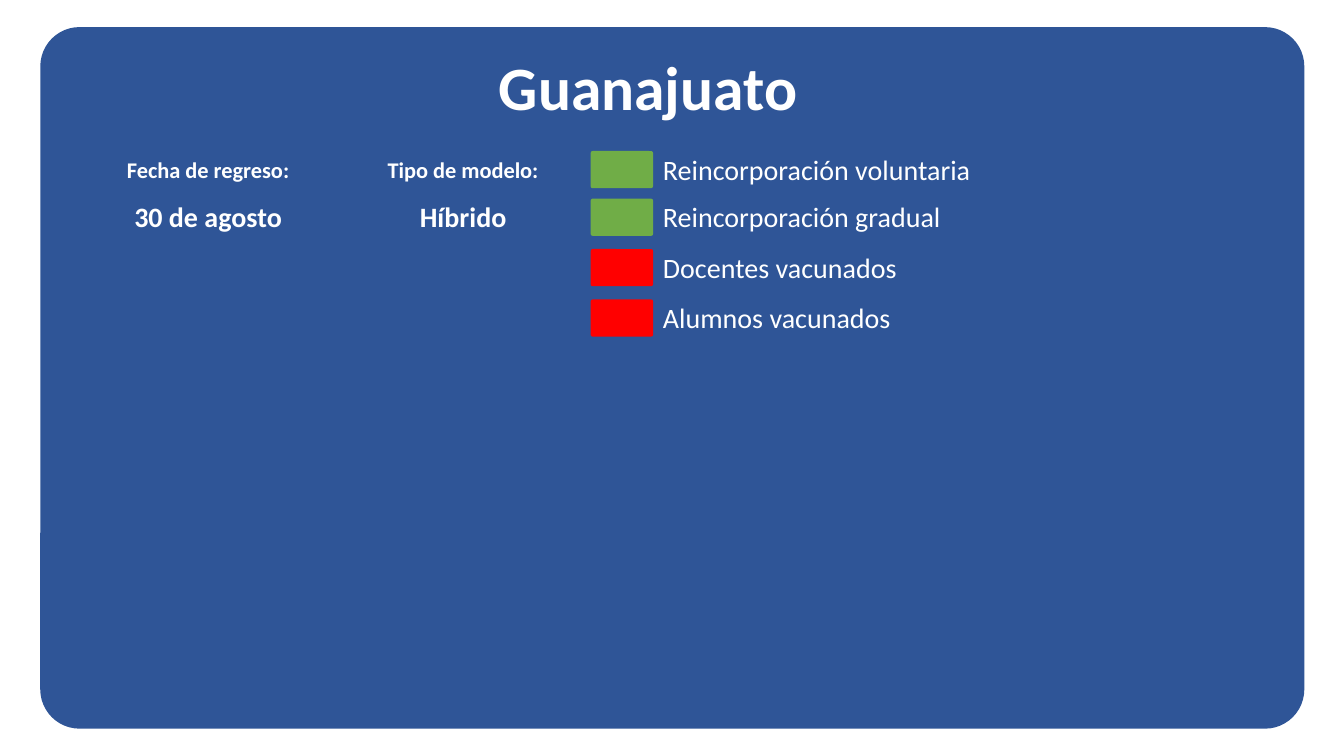
"""Build the Guanajuato return-to-school slide."""
import pptx
import pptx.dml.color
import pptx.enum.shapes
import pptx.enum.text
import pptx.util

Pt = pptx.util.Pt
LEFT = pptx.enum.text.PP_ALIGN.LEFT
CENTER = pptx.enum.text.PP_ALIGN.CENTER
BLUE, GREEN, RED, WHITE = "2F5597", "70AD47", "FF0000", "FFFFFF"

FACTS = [("Fecha de regreso:", "30 de agosto"), ("Tipo de modelo:", "Híbrido")]
CRITERIA = [
    ("Reincorporación voluntaria", GREEN, 0),
    ("Reincorporación gradual", GREEN, 34),
    ("Docentes vacunados", RED, 70),
    ("Alumnos vacunados", RED, 106),
]


def color(hex_code):
    """Return the colour for a hex string."""
    return pptx.dml.color.RGBColor.from_string(hex_code)


def write(shape, text, size=20, bold=False, align=LEFT):
    """Put one formatted line of white text in a shape."""
    frame = shape.text_frame
    frame.word_wrap = True
    frame.auto_size = pptx.enum.text.MSO_AUTO_SIZE.NONE
    frame.vertical_anchor = pptx.enum.text.MSO_ANCHOR.TOP
    frame.margin_left = frame.margin_right = Pt(7.2)
    frame.margin_top = frame.margin_bottom = Pt(3.6)
    paragraph = frame.paragraphs[0]
    paragraph.alignment = align
    run = paragraph.add_run()
    run.text = text
    run.font.name = "Calibri"
    run.font.size = Pt(size)
    run.font.bold = bold
    run.font.color.rgb = color(WHITE)


def add_label(slide, left, top, width, height, text, **text_format):
    """Add a text box holding one line."""
    label = slide.shapes.add_textbox(Pt(left), Pt(top), Pt(width), Pt(height))
    write(label, text, **text_format)


def add_rounded(slide, left, top, width, height, fill):
    """Add a plain rounded rectangle and return it."""
    rounded = slide.shapes.add_shape(
        pptx.enum.shapes.MSO_SHAPE.ROUNDED_RECTANGLE,
        Pt(left), Pt(top), Pt(width), Pt(height))
    rounded.adjustments[0] = 0.056
    rounded.shadow.inherit = False
    rounded.fill.solid()
    rounded.fill.fore_color.rgb = color(fill)
    rounded.line.fill.background()
    return rounded


def add_header(slide, left, top, width, height, state):
    """Lay the blue card behind the title and set the state name."""
    card = add_rounded(slide, left, top, width, height, BLUE)
    title = slide.shapes.title
    title.element.addprevious(card.element)
    title.left, title.top = Pt(left + 320.4), Pt(top + 12.3)
    title.width, title.height = Pt(250.6), Pt(60.5)
    write(title, state, size=44, bold=True)


def add_facts(slide, left, top, width, facts):
    """Place each caption above its value in equal columns."""
    column_width = width / len(facts)
    for column, (caption, value) in enumerate(facts):
        column_left = left + column * column_width
        add_label(slide, column_left, top, column_width, 26.6, caption,
                  size=16, bold=True, align=CENTER)
        add_label(slide, column_left, top + 31, column_width, 31.7, value,
                  bold=True, align=CENTER)


def add_criteria(slide, left, top, width, criteria):
    """List the criteria, each beside its status swatch."""
    swatch_width = 44.6
    for criterion, status, offset in criteria:
        row_top = top + offset
        add_label(slide, left + swatch_width, row_top,
                  width - swatch_width, 31.7, criterion)
        add_rounded(slide, left, row_top + 2.8, swatch_width, 26.6, status)


def main():
    """Build and save the slide."""
    deck = pptx.Presentation()
    deck.slide_width, deck.slide_height = Pt(960), Pt(540)
    slide = deck.slides.add_slide(deck.slide_layouts.get_by_name("Title Only"))
    add_header(slide, 28.8, 19.4, 902.9, 501.1, "Guanajuato")
    add_facts(slide, 57.6, 108, 364.3, FACTS)
    add_criteria(slide, 421.9, 105.1, 356.4, CRITERIA)
    deck.save("out.pptx")


if __name__ == "__main__":
    main()
